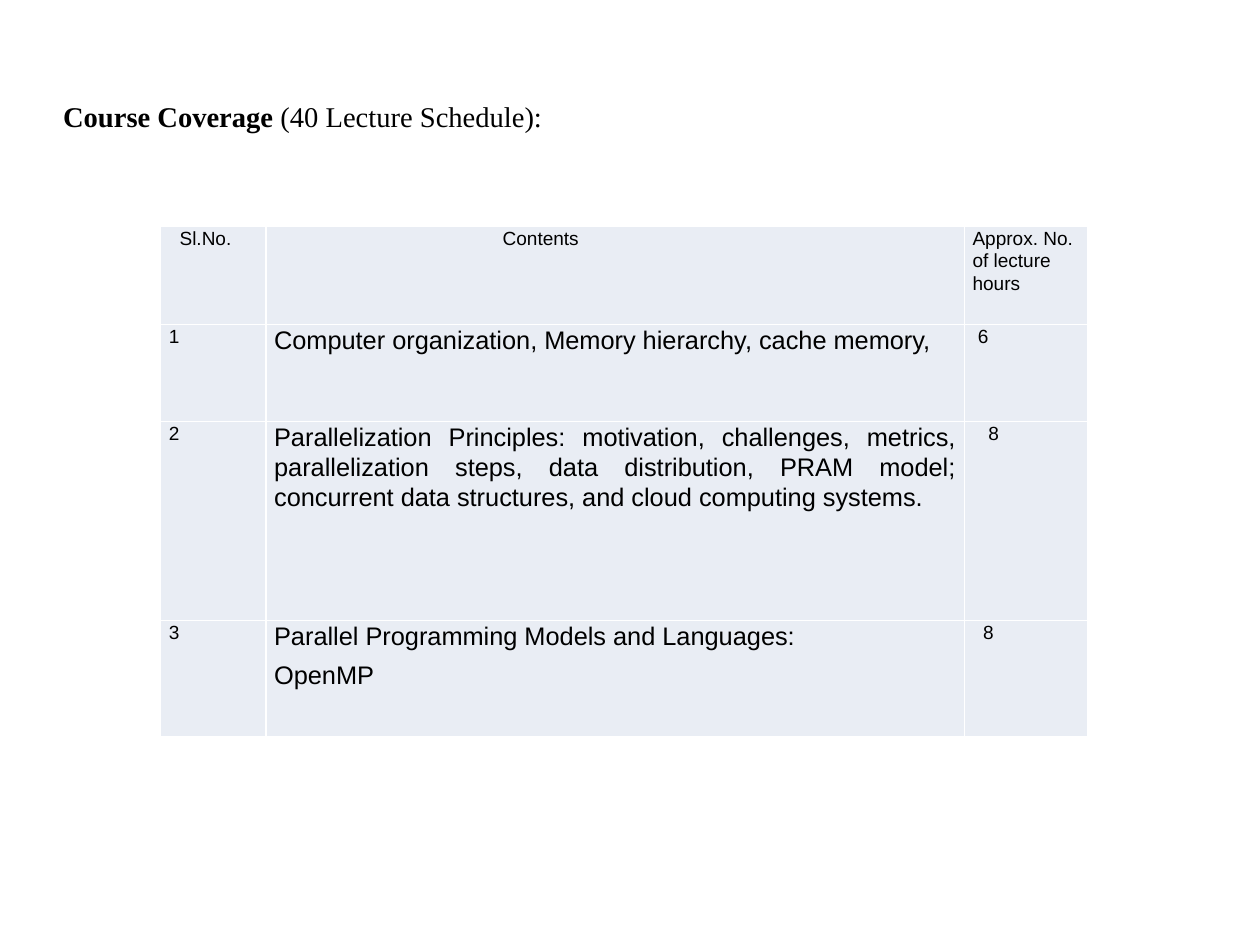
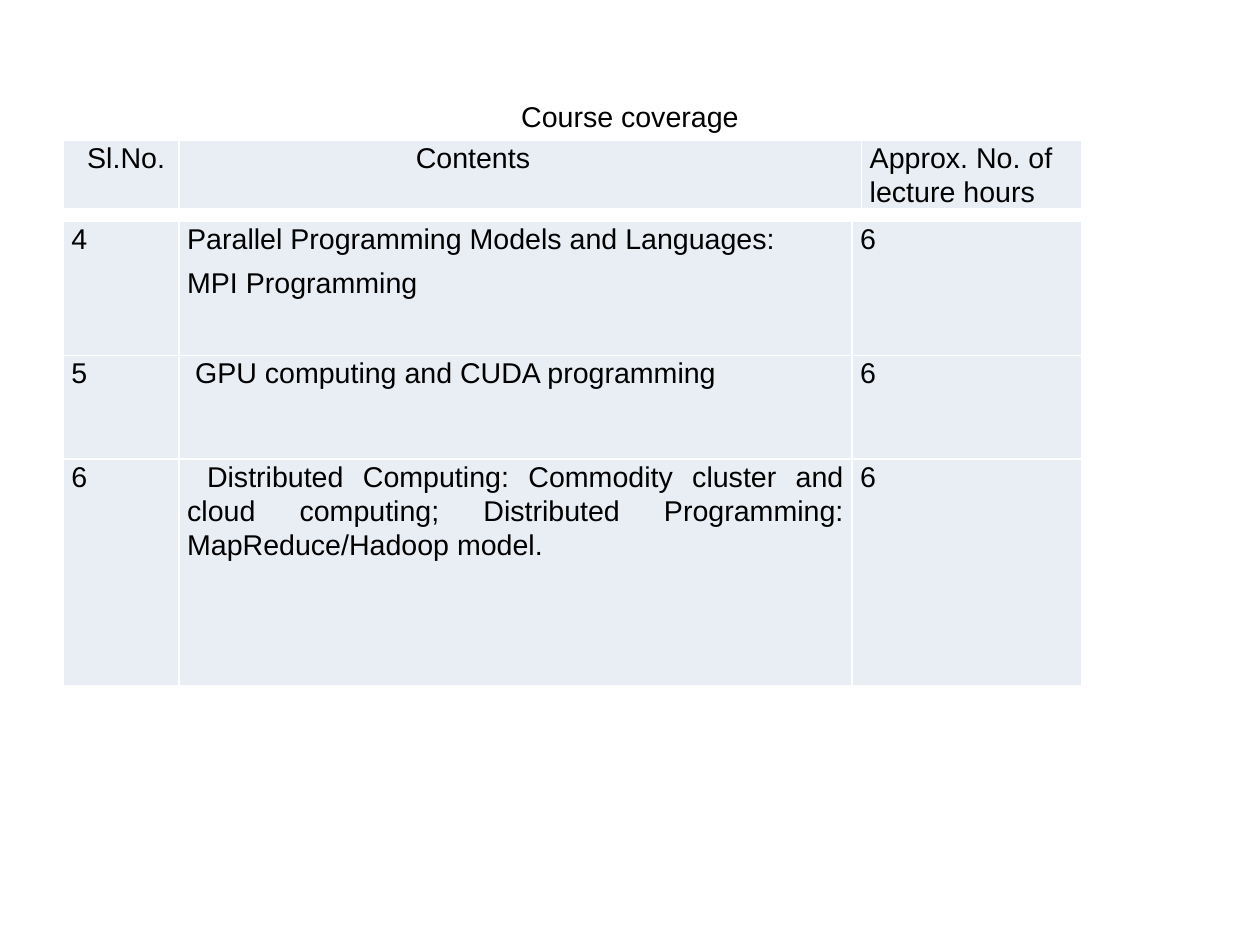
from lxml import etree
from pptx import Presentation
from pptx.dml.color import RGBColor
from pptx.enum.text import MSO_ANCHOR, MSO_AUTO_SIZE, PP_ALIGN
from pptx.oxml.ns import qn
from pptx.util import Pt

BLACK = RGBColor(0x00, 0x00, 0x00)
WHITE = RGBColor(0xFF, 0xFF, 0xFF)
CELL_BLUE = RGBColor(0xE9, 0xED, 0xF4)
LEFT, CENTER, JUSTIFY = PP_ALIGN.LEFT, PP_ALIGN.CENTER, PP_ALIGN.JUSTIFY
TOP, MIDDLE = MSO_ANCHOR.TOP, MSO_ANCHOR.MIDDLE
NO_AUTOFIT = MSO_AUTO_SIZE.NONE
TITLE_ONLY = 5
SANS, SERIF = "Arial", "Times New Roman"


def add_text(p, text, size=18, font=SANS, bold=False, align=LEFT,
             indent=0, after=0, spacing=1.0):
    p.alignment = align
    p.line_spacing = spacing
    p.space_before = Pt(0)
    p.space_after = Pt(after)
    if indent:
        p._p.get_or_add_pPr().set("indent", str(Pt(indent)))
    r = p.add_run()
    r.text = text
    r.font.size = Pt(size)
    r.font.name = font
    r.font.bold = bold
    r.font.color.rgb = BLACK


class Deck:
    margin = 39.75
    cell_inset = 5.2
    line_spacing = 1.07

    def __init__(self, width, height):
        self.prs = Presentation()
        self.prs.slide_width = Pt(width)
        self.prs.slide_height = Pt(height)
        self.s = None

    def add_slide(self):
        self.s = self.prs.slides.add_slide(self.prs.slide_layouts[TITLE_ONLY])

    def title(self, *runs, **style):
        sp = self.s.shapes.title
        sp.left, sp.top = Pt(self.margin), Pt(23.5)
        sp.width, sp.height = Pt(714.25), Pt(99.5)
        tf = sp.text_frame
        tf.auto_size = NO_AUTOFIT
        tf.word_wrap = True
        tf.vertical_anchor = MIDDLE
        tf.margin_left = tf.margin_right = tf.margin_top = tf.margin_bottom = 0
        for text, run_style in runs:
            add_text(tf.paragraphs[0], text, **style, **run_style)

    def border(self, cell):
        tc_pr = cell._tc.get_or_add_tcPr()
        for side in ("a:lnL", "a:lnR", "a:lnT", "a:lnB"):
            ln = etree.SubElement(tc_pr, qn(side), w=str(Pt(1)))
            fill = etree.SubElement(ln, qn("a:solidFill"))
            etree.SubElement(fill, qn("a:srgbClr"), val=str(WHITE))

    def cell(self, cell, content, size):
        text, style = content if isinstance(content, tuple) else (content, {})
        self.border(cell)
        cell.fill.solid()
        cell.fill.fore_color.rgb = CELL_BLUE
        cell.margin_left = cell.margin_right = Pt(self.cell_inset)
        cell.margin_top = cell.margin_bottom = 0
        cell.vertical_anchor = TOP
        tf = cell.text_frame
        for i, line in enumerate(text.split("\n")):
            p = tf.add_paragraph() if i else tf.paragraphs[0]
            add_text(p, line, spacing=self.line_spacing,
                     **{"size": size, **style})

    def table(self, left, top, widths, heights, rows, size):
        frame = self.s.shapes.add_table(
            len(rows), len(widths), Pt(left), Pt(top),
            Pt(sum(widths)), Pt(sum(heights)))
        table = frame.table
        table.first_row = table.horz_banding = False
        for column, width in zip(table.columns, widths):
            column.width = Pt(width)
        for row, height, contents in zip(table.rows, heights, rows):
            row.height = Pt(height)
            for cell, content in zip(row.cells, contents):
                self.cell(cell, content, size)


def header(number_indent):
    return [("Sl.No.", {"indent": number_indent}),
            ("Contents", {"indent": 144}),
            "Approx. No. of lecture hours"]


def first_part(deck):
    deck.add_slide()
    deck.title(("Course Coverage", {"bold": True}),
               (" (40 Lecture Schedule):", {}), font=SERIF)
    body = {"size": 16, "after": 6}
    rows = [
        header(6.7),
        ["1",
         ("Computer organization, Memory hierarchy, cache memory,",
          {**body, "align": JUSTIFY}),
         ("6", {"indent": 3.3})],
        ["2",
         ("Parallelization Principles: motivation, challenges, metrics, "
          "parallelization steps, data distribution, PRAM model; "
          "concurrent data structures, and cloud computing systems.",
          {"size": 16, "align": JUSTIFY}),
         ("8", {"indent": 10})],
        ["3",
         ("Parallel Programming Models and Languages:\nOpenMP", body),
         ("8", {"indent": 6.7})],
    ]
    deck.table(101.25, 142.5, [66.25, 440, 78], [61.75, 61.25, 125.25, 73.5],
               rows, 12)


def second_part(deck):
    deck.add_slide()
    deck.title(("Course coverage", {}), align=CENTER)
    rows = [
        ["4",
         ("Parallel Programming Models and Languages:\nMPI Programming",
          {"after": 6}),
         "6"],
        ["5",
         ("GPU computing and CUDA programming", {"indent": 5, "after": 6}),
         "6"],
        ["6",
         ("Distributed Computing: Commodity cluster and cloud computing; "
          "Distributed Programming: MapReduce/Hadoop model.",
          {"indent": 12.5, "align": JUSTIFY}),
         "6"],
    ]
    deck.table(deck.margin, 139.5, [73, 424, 145], [84.25, 65.5, 142.5],
               rows, 18)
    deck.table(deck.margin, 88.5, [73, 430, 139], [42], [header(10)], 18)


def main():
    deck = Deck(793.75, 595.25)
    first_part(deck)
    second_part(deck)
    deck.prs.save("out.pptx")


if __name__ == "__main__":
    main()
